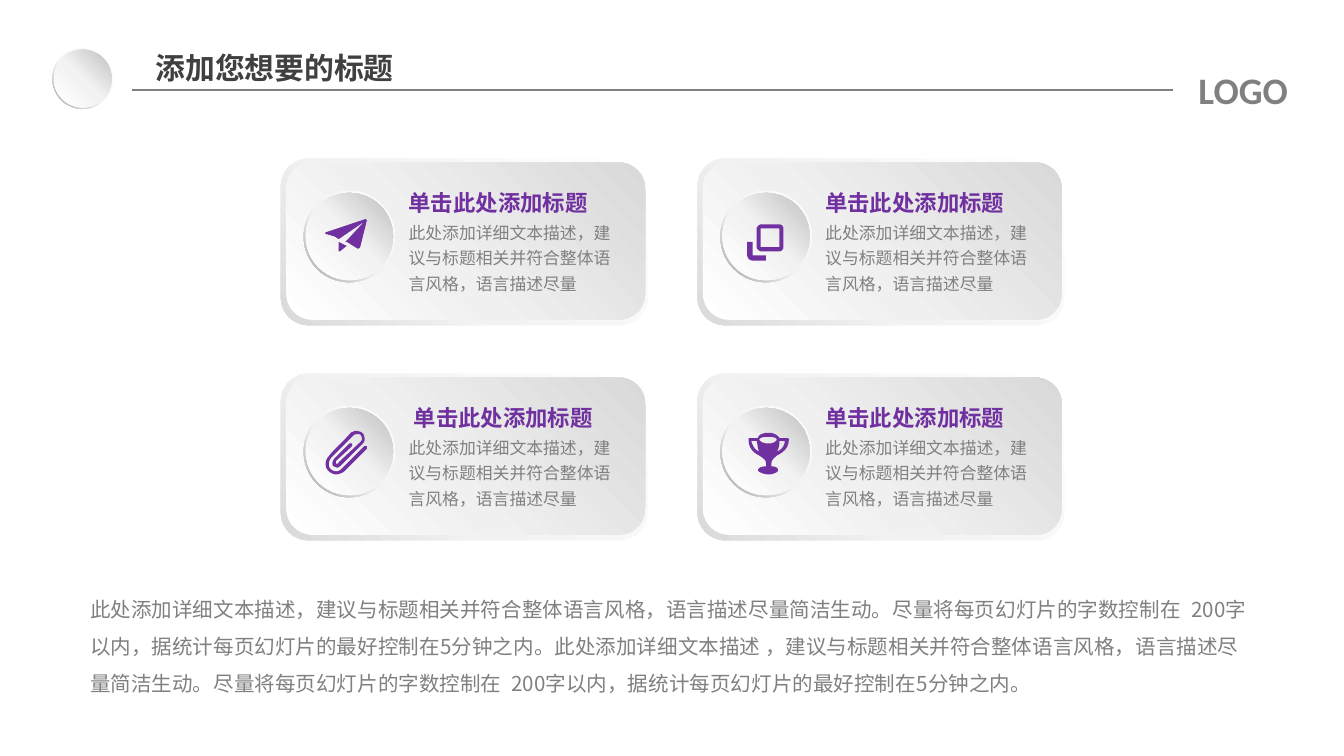
from lxml.etree import SubElement
from pptx import Presentation
from pptx.dml.color import RGBColor
from pptx.enum.shapes import MSO_CONNECTOR as LINE, MSO_SHAPE as SHAPE
from pptx.enum.text import MSO_ANCHOR as ANCHOR, PP_ALIGN as ALIGN
from pptx.oxml.ns import qn
from pptx.util import Inches, Pt

COLORS = {"purple": "7030A0", "gray": "808080", "dark": "404040"}
CJK, LATIN = "Noto Sans CJK SC", "Calibri"
# Gradient stops (percent, colour) and clockwise angle
RIM = ([(0, "FFFFFF"), (55, "F2F2F2"), (100, "A6A6A6")], 135)
DISC = ([(0, "FFFFFF"), (51, "F2F2F2"), (100, "BFBFBF")], 315)
CARD_EDGE = ([(0, "FFFFFF"), (62, "F2F2F2"), (100, "D9D9D9")], 135)
CARD_FACE = ([(0, "FFFFFF"), (42, "F0F0F0"), (100, "D9D9D9")], 315)

CARD_TITLE = "单击此处添加标题"
CARD_TEXT = "此处添加详细文本描述，建议与标题相关并符合整体语言风格，语言描述尽量"
SUMMARY = (
    "此处添加详细文本描述，建议与标题相关并符合整体语言风格，语言描述尽量简洁生动。"
    "尽量将每页幻灯片的字数控制在  200字以内，据统计每页幻灯片的最好控制在5分钟之内。"
    "此处添加详细文本描述 ，建议与标题相关并符合整体语言风格，语言描述尽量简洁生动。"
    "尽量将每页幻灯片的字数控制在  200字以内，据统计每页幻灯片的最好控制在5分钟之内。"
)

# Icon outlines in hundredths of an inch from the badge corner:
# two numbers are a corner, six numbers are a Bezier curve.
PLANE = [
    [(26, 45), (27, 45), (32, 41), (26, 38)],
    [(46, 21), (16, 31), (16, 32), (23, 34), (26, 36), (45, 23), (32, 37),
     (31, 38), (32, 38), (40, 43), (41, 43, 41, 43, 42, 42), (47, 22)],
]
SQUARES = [
    [(24, 38), (20, 38), (20, 48), (20, 50, 22, 52, 24, 52), (34, 52),
     (34, 48), (24, 48)],
    [(44, 42), (30, 42), (30, 28), (44, 28)],
    [(44, 25), (30, 25), (29, 25, 27, 27, 27, 28), (27, 42),
     (27, 43, 29, 45, 30, 45), (44, 45), (46, 45, 47, 43, 47, 42), (47, 28),
     (47, 27, 46, 25, 44, 25)],
]
CLIP = [
    [(24, 51), (22, 51, 20, 50, 18, 48), (16, 46, 15, 41, 19, 37),
     (21, 34, 31, 25, 35, 20), (37, 19, 39, 18, 41, 19),
     (43, 19, 45, 21, 45, 23), (46, 25, 45, 27, 44, 28), (28, 44),
     (27, 45, 26, 46, 25, 46), (24, 46, 23, 45, 22, 45),
     (21, 44, 21, 41, 23, 39), (34, 28), (34, 28, 35, 28, 36, 28),
     (36, 29, 36, 29, 36, 30), (24, 41), (24, 42, 24, 43, 24, 43), (25, 43),
     (25, 43, 26, 43, 26, 42), (42, 27), (43, 26, 44, 25, 43, 23),
     (43, 22, 42, 21, 41, 21), (39, 21, 38, 21, 37, 22),
     (32, 27, 23, 36, 21, 38), (18, 41, 18, 45, 20, 47),
     (22, 49, 26, 50, 29, 46), (45, 30), (46, 30, 46, 30, 47, 30),
     (47, 31, 47, 31, 47, 32), (31, 48), (29, 50, 26, 51, 24, 51)],
]
TROPHY = [
    [(23, 26), (27, 26), (28, 30, 28, 33, 29, 34), (26, 33, 24, 30, 23, 26)],
    [(36, 23), (40, 23, 42, 24, 42, 25), (42, 26, 40, 28, 36, 28),
     (31, 28, 29, 26, 29, 25), (29, 24, 31, 23, 36, 23)],
    [(42, 34), (43, 33, 44, 30, 44, 26), (48, 26), (48, 30, 45, 33, 42, 34)],
    [(38, 43), (38, 40, 40, 39, 42, 37), (46, 35, 51, 32, 51, 25),
     (51, 24, 50, 24, 49, 24), (44, 24), (43, 22, 40, 20, 36, 20),
     (31, 20, 28, 22, 28, 24), (22, 24), (21, 24, 21, 24, 21, 25),
     (21, 32, 25, 35, 29, 37), (32, 39, 34, 40, 34, 43), (34, 45),
     (31, 45, 28, 46, 28, 48), (28, 49, 32, 51, 36, 51),
     (40, 51, 43, 49, 43, 48), (43, 46, 41, 45, 38, 45)],
]


def rgb(name):
    return RGBColor.from_string(COLORS[name])


def add_gradient_shape(shapes, kind, left, top, width, height, gradient):
    stops, angle = gradient
    shape = shapes.add_shape(kind, Inches(left), Inches(top), Inches(width), Inches(height))
    shape.shadow.inherit = False
    shape.line.fill.background()
    shape.fill.gradient()
    shape.fill.gradient_angle = 360 - angle
    stop_list = shape._element.spPr.find(qn("a:gradFill")).find(qn("a:gsLst"))
    stop_list.clear()
    for percent, color in stops:
        stop = SubElement(stop_list, qn("a:gs"), pos=str(percent * 1000))
        SubElement(stop, qn("a:srgbClr"), val=color)
    return shape


def add_text(shapes, text, left, top, width, height, size, color, font=CJK, bold=False,
             align=None, spacing=None, anchor=ANCHOR.TOP, margins=(0.1, 0.05)):
    box = shapes.add_textbox(Inches(left), Inches(top), Inches(width), Inches(height))
    frame = box.text_frame
    frame.word_wrap = True
    frame.vertical_anchor = anchor
    frame.margin_left = frame.margin_right = Inches(margins[0])
    frame.margin_top = frame.margin_bottom = Inches(margins[1])
    para = frame.paragraphs[0]
    para.alignment = align
    para.line_spacing = spacing
    span = para.add_run()
    span.text = text
    span.font.size, span.font.bold, span.font.name = Pt(size), bold, font
    span.font.color.rgb = rgb(color)
    SubElement(span._r.get_or_add_rPr(), qn("a:ea"), typeface=font)


def add_badge(page, left, top, size):
    group = page.shapes.add_group_shape().shapes
    rim = add_gradient_shape(group, SHAPE.DONUT, left, top, size, size, RIM)
    rim.adjustments[0] = 0.049
    inset = 0.022 * size
    disc = size - 2 * inset
    add_gradient_shape(group, SHAPE.OVAL, left + inset, top + inset, disc, disc, DISC)


def flatten(contour, steps=6):
    """Turn corners and curves into points in EMU."""
    points = [contour[0]]
    for part in contour[1:]:
        if len(part) == 2:
            points.append(part)
            continue
        ends = (points[-1], part[:2], part[2:4], part[4:])
        for step in range(1, steps + 1):
            t = step / steps
            weights = ((1 - t) ** 3, 3 * t * (1 - t) ** 2, 3 * t * t * (1 - t), t ** 3)
            points.append(tuple(sum(w * end[axis] for w, end in zip(weights, ends))
                                for axis in (0, 1)))
    return [(Inches(x / 100), Inches(y / 100)) for x, y in points]


def add_icon(page, contours, left, top):
    outlines = [flatten(contour) for contour in contours]
    builder = page.shapes.build_freeform(*outlines[0][0])
    for index, points in enumerate(outlines):
        if index:
            builder.move_to(*points[0])
        builder.add_line_segments(points[1:], close=True)
    icon = builder.convert_to_shape(Inches(left), Inches(top))
    icon.shadow.inherit = False
    icon.fill.solid()
    icon.fill.fore_color.rgb = rgb("purple")
    icon.line.fill.background()


def add_header(page, left, top):
    add_badge(page, left, top, 0.45)
    rule = page.shapes.add_connector(LINE.STRAIGHT, Inches(left + 0.59), Inches(top + 0.31),
                                     Inches(left + 8.34), Inches(top + 0.31))
    rule.line.color.rgb = rgb("gray")
    rule.line.width = Pt(1.25)
    SubElement(rule._element.spPr, qn("a:effectLst"))
    add_text(page.shapes, "LOGO", left + 8.23, top + 0.09, 1.26, 0.44, 20, "gray",
             font=LATIN, bold=True, align=ALIGN.CENTER)
    add_text(page.shapes, "添加您想要的标题", left + 0.67, top - 0.04, 3.07, 0.37, 16, "dark",
             bold=True)


def add_card(page, left, top, icon, title_left=0.95, title_align=None):
    plate = page.shapes.add_group_shape().shapes
    add_gradient_shape(plate, SHAPE.ROUNDED_RECTANGLE, left, top, 2.73, 1.24, CARD_EDGE)
    add_gradient_shape(plate, SHAPE.ROUNDED_RECTANGLE, left + 0.04, top + 0.03, 2.67, 1.17,
                       CARD_FACE)
    badge_left, badge_top = left + 0.17, top + 0.24
    add_badge(page, badge_left, badge_top, 0.68)
    texts = page.shapes.add_group_shape().shapes
    add_text(texts, CARD_TITLE, left + title_left, top + 0.24, 1.59, 0.23, 12, "purple",
             bold=True, align=title_align, spacing=0.7, anchor=ANCHOR.MIDDLE, margins=(0, 0))
    add_text(texts, CARD_TEXT, left + 0.95, top + 0.44, 1.59, 0.68, 9, "gray",
             spacing=1.25, margins=(0, 0))
    add_icon(page, icon, badge_left, badge_top)


def main():
    deck = Presentation()
    deck.slide_width = Inches(10)
    deck.slide_height = deck.slide_width * 9 // 16
    page = deck.slides.add_slide(deck.slide_layouts[6])
    add_header(page, 0.39, 0.36)
    for index, icon in enumerate((PLANE, SQUARES, CLIP, TROPHY)):
        row, column = divmod(index, 2)
        title = {"title_left": 0.86, "title_align": ALIGN.CENTER} if icon is CLIP else {}
        add_card(page, 2.09 + 3.1 * column, 1.18 + 1.6 * row, icon, **title)
    add_text(page.shapes, SUMMARY, 0.59, 4.31, 8.8, 0.91, 11, "gray", spacing=1.5,
             margins=(0.08, 0.04))
    deck.save("out.pptx")


if __name__ == "__main__":
    main()
